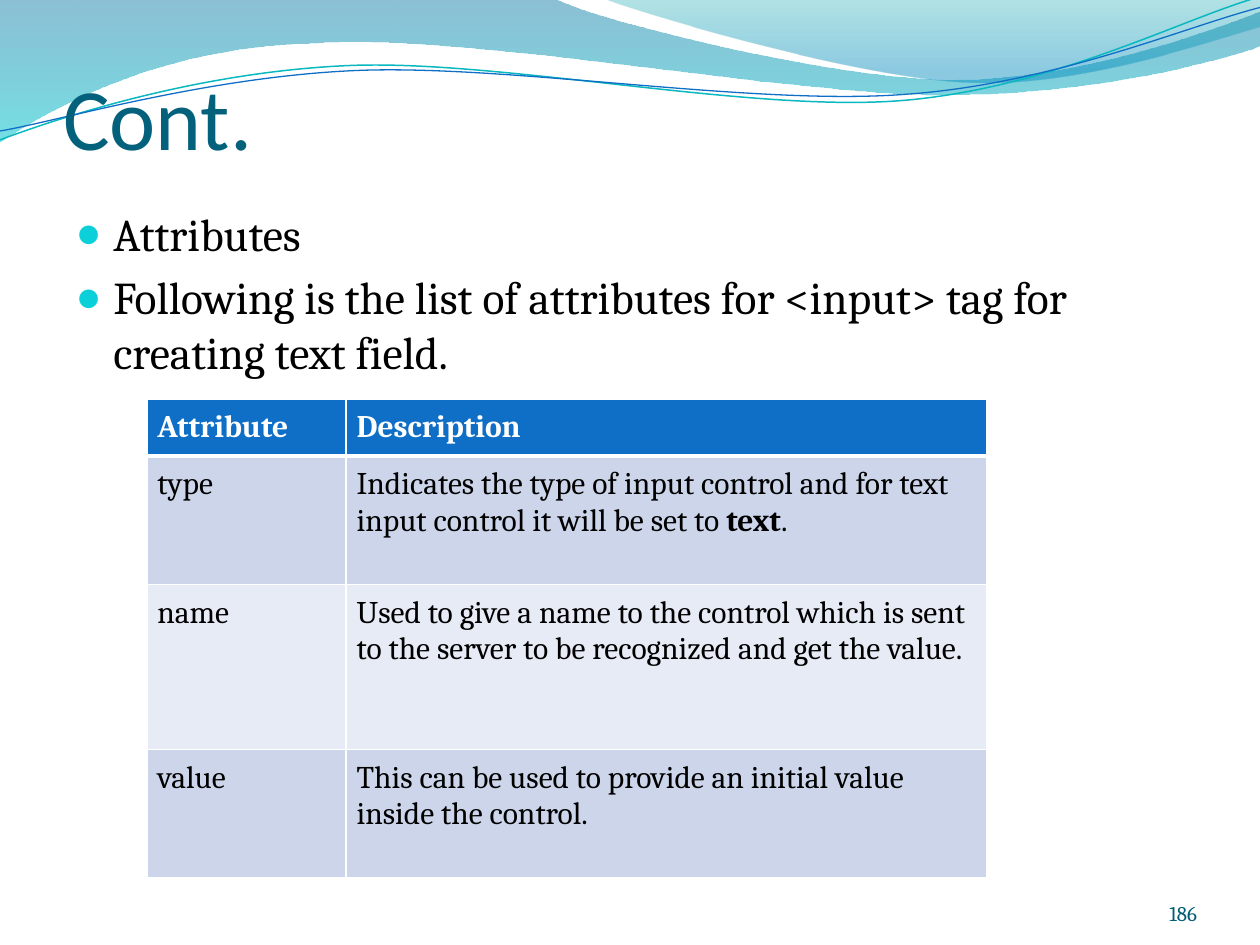
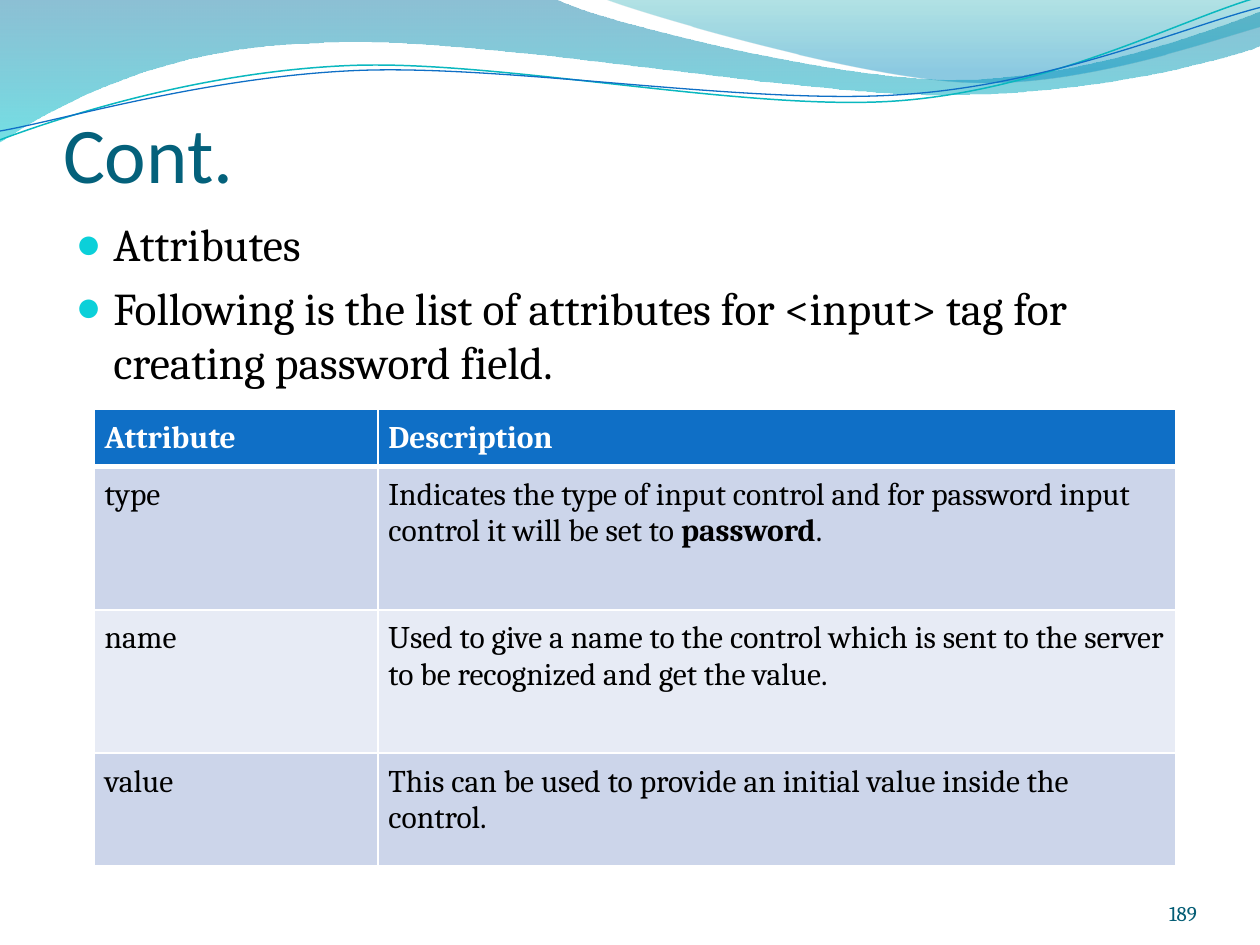
"""Build two slides that list the attributes of HTML input fields."""
from dataclasses import dataclass
from math import cos, radians, sin

from lxml import etree
from pptx import Presentation
from pptx.dml.color import RGBColor
from pptx.enum.text import MSO_ANCHOR, MSO_AUTO_SIZE, PP_ALIGN
from pptx.oxml.ns import qn
from pptx.util import Cm, Pt

LEFT, RIGHT = PP_ALIGN.LEFT, PP_ALIGN.RIGHT
TOP, BOTTOM = MSO_ANCHOR.TOP, MSO_ANCHOR.BOTTOM
NO_AUTOFIT = MSO_AUTO_SIZE.NONE
INCH = Cm(2.54)


@dataclass(frozen=True)
class Theme:
    title_font: str = "Calibri"
    body_font: str = "Cambria"
    title: str = "04617B"
    text: str = "000000"
    white: str = "FFFFFF"
    bullet: str = "0BD0D9"
    number: str = "045D75"
    header: str = "0F6FC6"
    rows: tuple = ("CCD5EA", "E7EBF5")
    body_size: int = 26
    table_size: int = 18
    number_size: int = 12


T = Theme()

HEADER = (("Attribute",), ("Description",))
NAME_ROW = (("name",), ("Used to give a name to the control which is sent to the server "
                        "to be recognized and get the value.",))
VALUE_ROW = (("value",), ("This can be used to provide an initial value inside the control.",))

SLIDES = [
    dict(title="Cont.", title_size=50, title_box=(1.27, 0.84, 22.86, 2.54),
         body_box=(1.27, 4.02, 22.86, 13.54), kind="text", number="186",
         table_at=(2.96, 8.04), cols=(4.02, 12.91), heights=(1.15, 2.59, 3.33, 2.59)),
    dict(title="Cont.", title_size=45, title_box=(1.27, 1.96, 22.86, 2.06),
         body_box=(1.27, 4.23, 22.86, 13.34), kind="password", number="189",
         table_at=(1.9, 8.25), cols=(5.72, 16.08), heights=(1.15, 2.89, 2.89, 2.26)),
]
NUMBER_BOX = (22.01, 17.65, 2.12, 1.02)

WAVES = [
    dict(start=(0, 0),
         segments=[(4.4, -0.01), (4.76, 0.17, 6.64, 0.63, 7.58, 0.63),
                   (8.53, 0.63, 9.58, 0.26, 10, 0.09), (10.01, 0.36),
                   (9.83, 0.44, 8.7, 0.76, 7.46, 0.75), (6.22, 0.75, 3.82, 0.28, 2.57, 0.34),
                   (1.29, 0.36, 0.46, 0.83, -0.01, 1.13), (0, 0)],
         stops=[(0, "0074A1", 45), (1, "00C6CF", 55)]),
    dict(start=(4.79, -0.01),
         segments=[(5.09, 0.11, 6.82, 0.62, 7.69, 0.65), (8.56, 0.69, 9.61, 0.32, 10, 0.21),
                   (10, 0), (4.79, -0.01)],
         stops=[(0, "00A1A9", 30), (0.8, "008BBF", 45)]),
    dict(start=(0, 1.11),
         segments=[(0.48, 0.93, 1.58, 0.57, 2.77, 0.52), (3.95, 0.47, 5.93, 0.89, 7.13, 0.8),
                   (8.33, 0.71, 9.38, 0.15, 9.98, -0.02)],
         line=("0AB8BF", 0.85), center=(4.99, 0.58), tilt=-2.7),
    dict(start=(0, 1.04),
         segments=[(0.47, 0.96, 1.64, 0.61, 2.83, 0.56), (4.03, 0.51, 5.97, 0.84, 7.17, 0.75),
                   (8.36, 0.67, 9.41, 0.21, 10, 0.06)],
         line=("0F6FC6", 0.75), center=(5, 0.59), tilt=-2.7),
]


def rgb(color):
    return RGBColor.from_string(color)


def add(parent, tag, **attrs):
    return etree.SubElement(parent, qn(tag), {k: str(v) for k, v in attrs.items()})


def write(p, text, size=T.body_size, color=T.text, font=T.body_font, bold=False, align=LEFT):
    p.alignment = align
    r = p.add_run()
    r.text = text
    r.font.size, r.font.name, r.font.bold = Pt(size), font, bold
    r.font.color.rgb = rgb(color)


def place(sp, box, anchor=TOP, margins=None):
    sp.left, sp.top, sp.width, sp.height = map(Cm, box)
    tf = sp.text_frame
    tf.word_wrap, tf.auto_size, tf.vertical_anchor = True, NO_AUTOFIT, anchor
    if margins:
        tf.margin_left, tf.margin_top, tf.margin_right, tf.margin_bottom = map(Cm, margins)
    return tf


def turn(point, center, degrees):
    a = radians(degrees)
    dx, dy = point[0] - center[0], point[1] - center[1]
    return center[0] + dx * cos(a) - dy * sin(a), center[1] + dx * sin(a) + dy * cos(a)


def bend(sp, segments):
    """Join each run of three outline points into one curve."""
    lines = iter(list(sp.element.spPr.iter(qn("a:lnTo"))))
    for seg in segments:
        first = next(lines)
        if len(seg) == 6:
            first.tag_name = None
            curve = etree.Element(qn("a:cubicBezTo"))
            first.addprevious(curve)
            for node in (first, next(lines), next(lines)):
                curve.append(node[0])
                node.getparent().remove(node)


def add_wave(s, start, segments, stops=None, line=None, center=(0, 0), tilt=0):
    points = [start] + [xy for seg in segments for xy in zip(seg[::2], seg[1::2])]
    points = [turn(xy, center, -tilt) for xy in points]
    points = [(round(x * INCH), round(y * INCH)) for x, y in points]
    builder = s.shapes.build_freeform(*points[0])
    builder.add_line_segments(points[1:], close=bool(stops))
    sp = builder.convert_to_shape()
    bend(sp, segments)
    sp.rotation = tilt % 360
    sp.shadow.inherit = False
    if line:
        sp.fill.background()
        sp.line.color.rgb, sp.line.width = rgb(line[0]), Pt(line[1])
        return sp
    sp.line.fill.background()
    sp.fill.gradient()
    sp.fill.gradient_angle = 270
    for stop, (position, color, _) in zip(sp.fill.gradient_stops, stops):
        stop.position, stop.color.rgb = position, rgb(color)
    colors = sp.element.spPr.find(qn("a:gradFill")).iter(qn("a:srgbClr"))
    for node, (_, _, alpha) in zip(colors, stops):
        add(node, "a:alpha", val=alpha * 1000)
    return sp


def add_layout_waves(layout, s):
    for i, wave in enumerate(WAVES):
        sp = add_wave(s, **wave)
        sp.element.nvSpPr.cNvPr.set("id", str(20 + i))
        layout.shapes.element.insert(2 + i, sp.element)


def add_bullets(sp, box, lines):
    tf = place(sp, box)
    for i, line in enumerate(lines):
        p = tf.add_paragraph() if i else tf.paragraphs[0]
        write(p, line)
        pPr = p._p.get_or_add_pPr()
        pPr.set("marL", str(Cm(0.76)))
        pPr.set("indent", str(-Cm(0.76)))
        add(add(pPr, "a:spcBef"), "a:spcPct", val=20000)
        add(add(pPr, "a:buClr"), "a:srgbClr", val=T.bullet)
        add(pPr, "a:buSzPct", val=95000)
        add(pPr, "a:buChar", char="●")


def style_cell(cell, parts, row):
    tcPr = cell._tc.get_or_add_tcPr()
    widths = {"L": 1, "R": 1, "T": 3 if row == 1 else 1, "B": 3 if row == 0 else 1}
    for side, width in widths.items():
        ln = add(tcPr, f"a:ln{side}", w=Pt(width))
        add(add(ln, "a:solidFill"), "a:srgbClr", val=T.white)
    cell.fill.solid()
    cell.fill.fore_color.rgb = rgb(T.rows[(row - 1) % 2] if row else T.header)
    cell.margin_left = cell.margin_top = cell.margin_right = cell.margin_bottom = Cm(0.21)
    for i, part in enumerate(parts):
        write(cell.text_frame.paragraphs[0], part, size=T.table_size,
              color=T.text if row else T.white, bold=row == 0 or i % 2 == 1)


def add_attribute_table(s, at, cols, heights, kind):
    type_row = (("type",), (f"Indicates the type of input control and for {kind} input "
                            "control it will be set to ", kind, "."))
    rows = [HEADER, type_row, NAME_ROW, VALUE_ROW]
    size = (sum(cols), sum(heights))
    table = s.shapes.add_table(len(rows), len(cols), *map(Cm, at + size)).table
    for col, width in zip(table.columns, cols):
        col.width = Cm(width)
    for i, (cells, height) in enumerate(zip(rows, heights)):
        table.rows[i].height = Cm(height)
        for j, parts in enumerate(cells):
            style_cell(table.cell(i, j), parts, i)


def add_slide(prs, layout, d):
    s = prs.slides.add_slide(layout)
    tf = place(s.shapes.title, d["title_box"], BOTTOM, (0, 0.13, 0, 0))
    write(tf.paragraphs[0], d["title"], size=d["title_size"], color=T.title, font=T.title_font)
    add_bullets(s.placeholders[1], d["body_box"], [
        "Attributes",
        f"Following is the list of attributes for <input> tag for creating {d['kind']} field."])
    add_attribute_table(s, d["table_at"], d["cols"], d["heights"], d["kind"])
    tf = place(s.shapes.add_textbox(*map(Cm, NUMBER_BOX)), NUMBER_BOX, BOTTOM, (0, 0, 0, 0))
    write(tf.paragraphs[0], d["number"], size=T.number_size, color=T.number, align=RIGHT)
    return s


def main():
    prs = Presentation()
    prs.slide_width, prs.slide_height = Cm(25.4), Cm(19.05)
    layout = prs.slide_layouts[1]
    slides = [add_slide(prs, layout, d) for d in SLIDES]
    add_layout_waves(layout, slides[0])
    prs.save("out.pptx")


if __name__ == "__main__":
    main()
